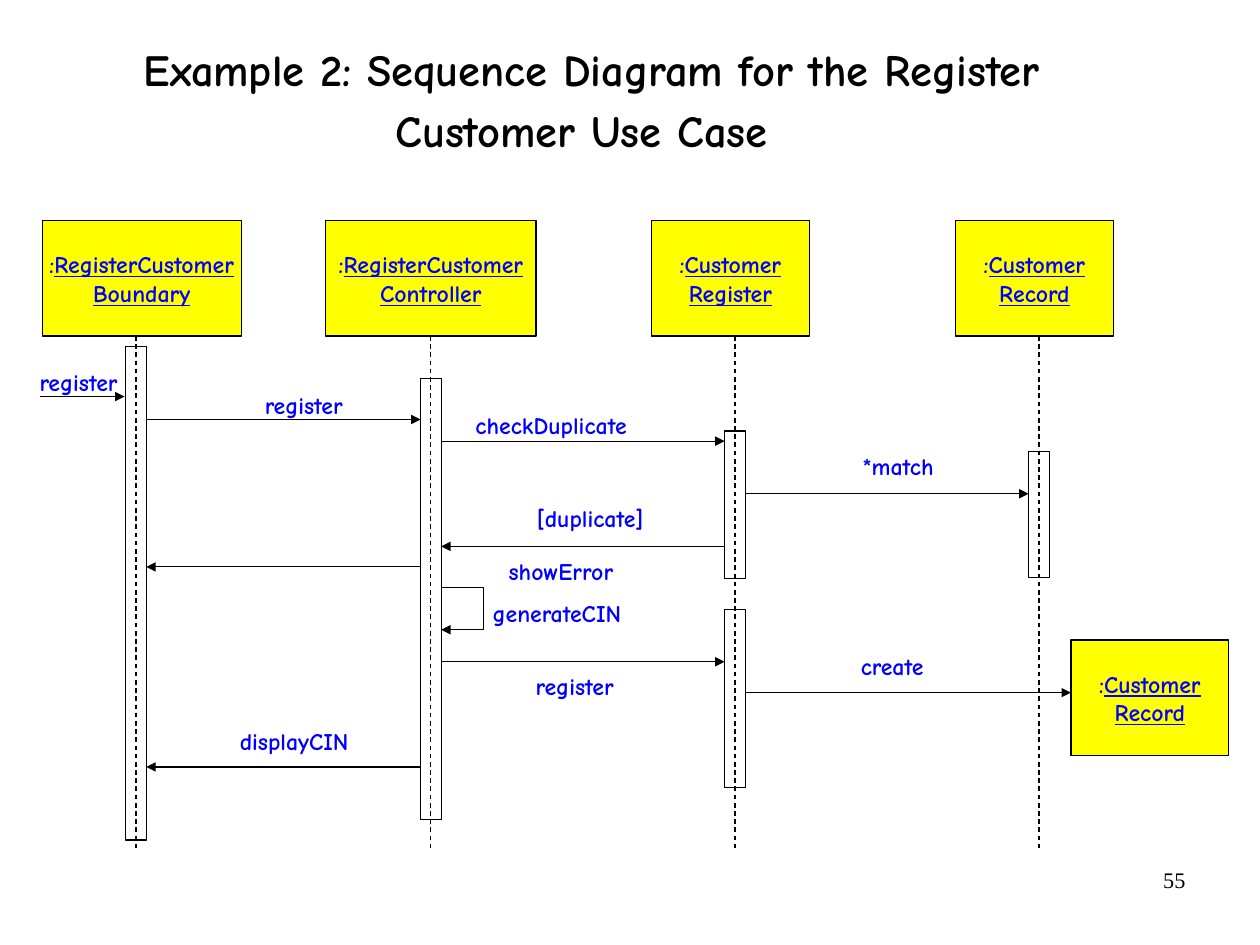
from lxml import etree
from pptx import Presentation
from pptx.dml.color import RGBColor
from pptx.enum.dml import MSO_LINE
from pptx.enum.shapes import MSO_CONNECTOR, MSO_SHAPE
from pptx.enum.text import MSO_ANCHOR, MSO_AUTO_SIZE, PP_ALIGN
from pptx.oxml.ns import qn
from pptx.util import Cm, Inches, Pt

LEFT, CENTER, RIGHT = PP_ALIGN.LEFT, PP_ALIGN.CENTER, PP_ALIGN.RIGHT
MIDDLE = MSO_ANCHOR.MIDDLE
FIT = MSO_AUTO_SIZE.SHAPE_TO_FIT_TEXT
RECT = MSO_SHAPE.RECTANGLE
STRAIGHT = MSO_CONNECTOR.STRAIGHT
DASH = MSO_LINE.DASH
BOTTOM_SITE = 2

HEAD_Y, HEAD_H = 1.93, 1.01
LIFE_TOP, LIFE_END = HEAD_Y + HEAD_H, 7.44
HALF_BAR = 0.09
BOUNDARY, CONTROLLER, REGISTER, RECORD = 1.19, 3.77, 6.43, 9.09

# lifeline, head left, head width, class name lines
HEADS = [
    (BOUNDARY, 0.37, 1.74, ("RegisterCustomer", "Boundary")),
    (CONTROLLER, 2.85, 1.84, ("RegisterCustomer", "Controller")),
    (REGISTER, 5.7, 1.38, ("Customer", "Register")),
    (RECORD, 8.36, 1.38, ("Customer", "Record")),
]
# lifeline, top, height
BARS = [
    (BOUNDARY, 3.03, 4.32),
    (CONTROLLER, 3.31, 3.86),
    (REGISTER, 3.77, 1.29),
    (REGISTER, 5.33, 1.56),
    (RECORD, 3.95, 1.1),
]
# sending lifeline, receiving lifeline, y
MESSAGES = [
    (BOUNDARY, CONTROLLER, 3.67),
    (CONTROLLER, REGISTER, 3.86),
    (REGISTER, RECORD, 4.32),
    (REGISTER, CONTROLLER, 4.78),
    (CONTROLLER, BOUNDARY, 4.96),
    (CONTROLLER, REGISTER, 5.79),
    (CONTROLLER, BOUNDARY, 6.71),
]
# text, left, top, width, alignment
LABELS = [
    ("register", 0.1, 3.22, 0.93, RIGHT),
    ("register", 2.07, 3.42, 0.93, RIGHT),
    ("checkDuplicate", 4.16, 3.59, 1.8, LEFT),
    ("*match", 7.33, 3.95, 0.84, RIGHT),
    ("[duplicate]", 4.34, 4.41, 1.29, RIGHT),
    ("showError", 4.45, 4.87, 1.19, LEFT),
    ("generateCIN", 4.31, 5.24, 1.47, LEFT),
    ("register", 4.44, 5.88, 0.93, RIGHT),
    ("create", 7.33, 5.7, 0.75, RIGHT),
    ("displayCIN", 1.8, 6.36, 1.25, RIGHT),
]


def rgb(color):
    return RGBColor.from_string(color)


def add_run(p, text, size=15, font="Comic Neue", color="0000FF", bold=True, underline=None):
    r = p.add_run()
    r.text = text
    r.font.size = Pt(size)
    r.font.name = font
    r.font.bold = bold
    r.font.underline = underline
    r.font.color.rgb = rgb(color)


def set_frame(tf, margin_x=0, margin_y=0, wrap=False):
    tf.margin_left = tf.margin_right = Inches(margin_x)
    tf.margin_top = tf.margin_bottom = Inches(margin_y)
    tf.word_wrap = wrap


class SequenceDiagram:
    def __init__(self, slide, ink="000000", head_fill="FFFF00", line_width=0.75):
        self.slide = slide
        self.shapes = slide.shapes
        self.ink = ink
        self.head_fill = head_fill
        self.line_width = line_width

    def stroke(self, sp, dash=None, arrow=False):
        sp.line.color.rgb = rgb(self.ink)
        sp.line.width = Pt(self.line_width)
        if dash:
            sp.line.dash_style = dash
        if arrow:
            ln = sp.element.spPr.find(qn("a:ln"))
            etree.SubElement(ln, qn("a:tailEnd"), type="triangle")

    def title(self, text):
        sp = self.shapes.title
        sp.left, sp.top, sp.width, sp.height = map(Inches, (0.49, -0.06, 9.37, 1.93))
        tf = sp.text_frame
        set_frame(tf, 0.02, 0.06, wrap=True)
        tf.vertical_anchor = MIDDLE
        p = tf.paragraphs[0]
        p.alignment = CENTER
        p.line_spacing = 0.94
        add_run(p, text, size=28, color=self.ink)
        add_run(p, " ", size=36, color=self.ink)

    def rect(self, x, y, w, h, fill=None):
        sp = self.shapes.add_shape(RECT, Inches(x), Inches(y), Inches(w), Inches(h))
        sp.shadow.inherit = False
        if fill:
            sp.fill.solid()
            sp.fill.fore_color.rgb = rgb(fill)
        else:
            sp.fill.background()
        self.stroke(sp)
        return sp

    def head(self, x, y, w, names):
        sp = self.rect(x, y, w, HEAD_H, self.head_fill)
        tf = sp.text_frame
        set_frame(tf, 0.11, 0.06)
        tf.vertical_anchor = MIDDLE
        for i, name in enumerate(names):
            p = tf.add_paragraph() if i else tf.paragraphs[0]
            p.alignment = CENTER
            if i == 0:
                add_run(p, ":")
            add_run(p, name, underline=True)
        return sp

    def line(self, x1, y1, x2, y2, **style):
        cx = self.shapes.add_connector(STRAIGHT, Inches(x1), Inches(y1), Inches(x2), Inches(y2))
        self.stroke(cx, **style)
        etree.SubElement(cx.element.spPr, qn("a:effectLst"))
        return cx

    def message(self, sender, receiver, y):
        """Draw an arrow between the facing sides of two activation bars."""
        side = HALF_BAR if receiver > sender else -HALF_BAR
        self.line(sender + side, y, receiver - side, y, arrow=True)

    def self_call(self, x, y, size):
        fb = self.shapes.build_freeform(Inches(x), Inches(y))
        corners = [(x + size, y), (x + size, y + size), (x, y + size)]
        fb.add_line_segments([(Inches(a), Inches(b)) for a, b in corners], close=False)
        sp = fb.convert_to_shape()
        sp.shadow.inherit = False
        sp.fill.background()
        self.stroke(sp, arrow=True)

    def label(self, text, x, y, w, align, h=0.25):
        tb = self.shapes.add_textbox(Inches(x), Inches(y), Inches(w), Inches(h))
        tf = tb.text_frame
        set_frame(tf)
        tf.auto_size = FIT
        tf.paragraphs[0].alignment = align
        add_run(tf.paragraphs[0], text)

    def page_number(self, text):
        tb = self.shapes.add_textbox(Inches(7.9), Inches(7.53), Inches(2.57), Inches(0.57))
        set_frame(tb.text_frame, 0.1, 0.05, wrap=True)
        p = tb.text_frame.paragraphs[0]
        p.alignment = RIGHT
        add_run(p, text, size=14, font="Times New Roman", color=self.ink, bold=False)


def main():
    prs = Presentation()
    prs.slide_width, prs.slide_height = Cm(28), Cm(21)
    s = SequenceDiagram(prs.slides.add_slide(prs.slide_layouts[5]))
    s.title("Example 2: Sequence Diagram for the Register Customer Use Case")

    for life_x, x, w, names in HEADS:
        head = s.head(x, HEAD_Y, w, names)
        lifeline = s.line(life_x, LIFE_TOP, life_x, LIFE_END, dash=DASH)
        if abs(x + w / 2 - life_x) < 0.01:
            lifeline.begin_connect(head, BOTTOM_SITE)
    for life_x, y, h in BARS:
        s.rect(life_x - HALF_BAR, y, 2 * HALF_BAR, h)

    s.line(0.35, 3.47, 1.09, 3.47, arrow=True)
    for sender, receiver, y in MESSAGES:
        s.message(sender, receiver, y)
    s.self_call(CONTROLLER + HALF_BAR, 5.14, 0.37)
    s.head(9.37, 5.6, 1.38, ("Customer", "Record"))
    s.line(REGISTER + HALF_BAR, 6.06, 9.37, 6.06, arrow=True)

    for label in LABELS:
        s.label(*label)
    s.page_number("55")
    prs.save("out.pptx")


if __name__ == "__main__":
    main()
